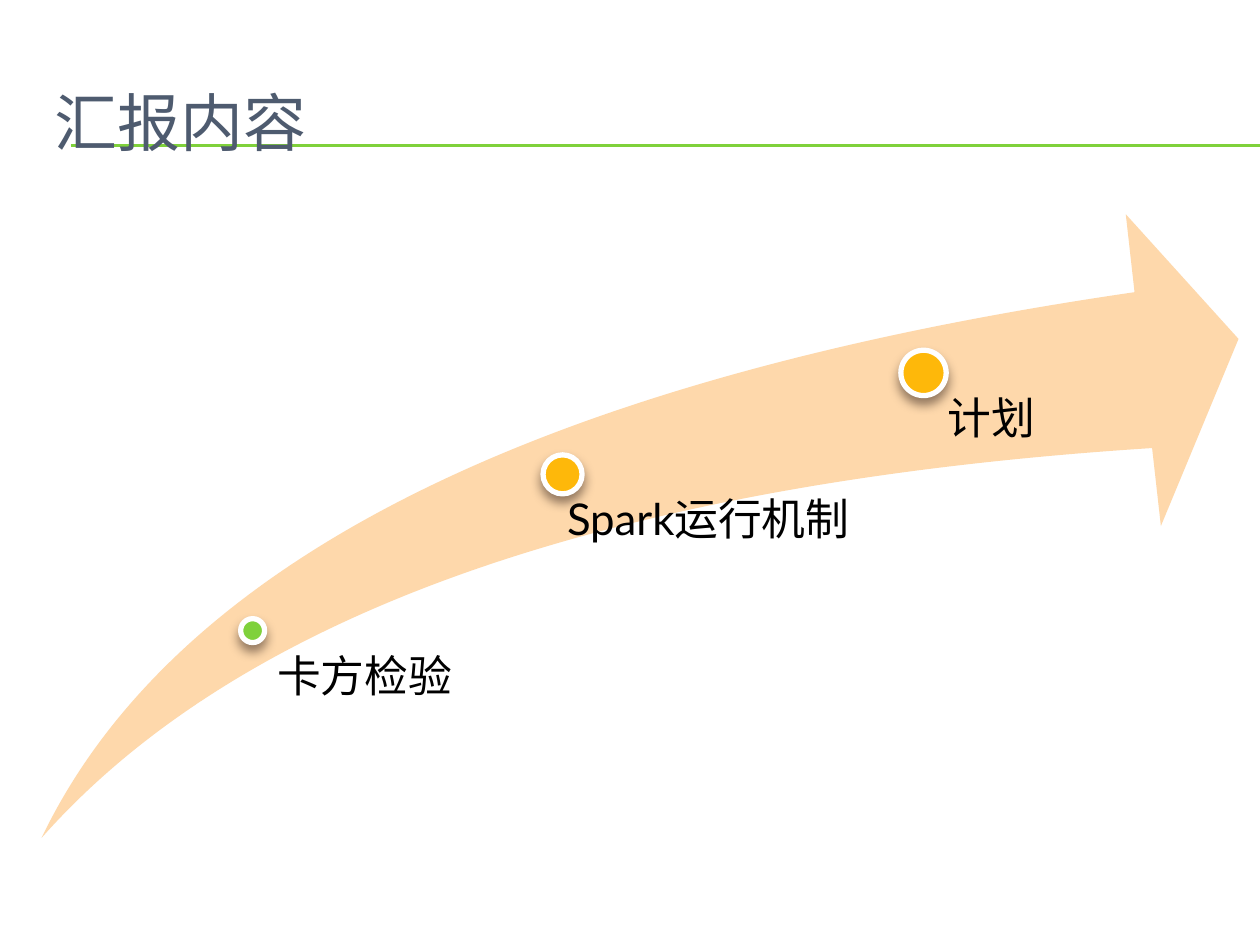
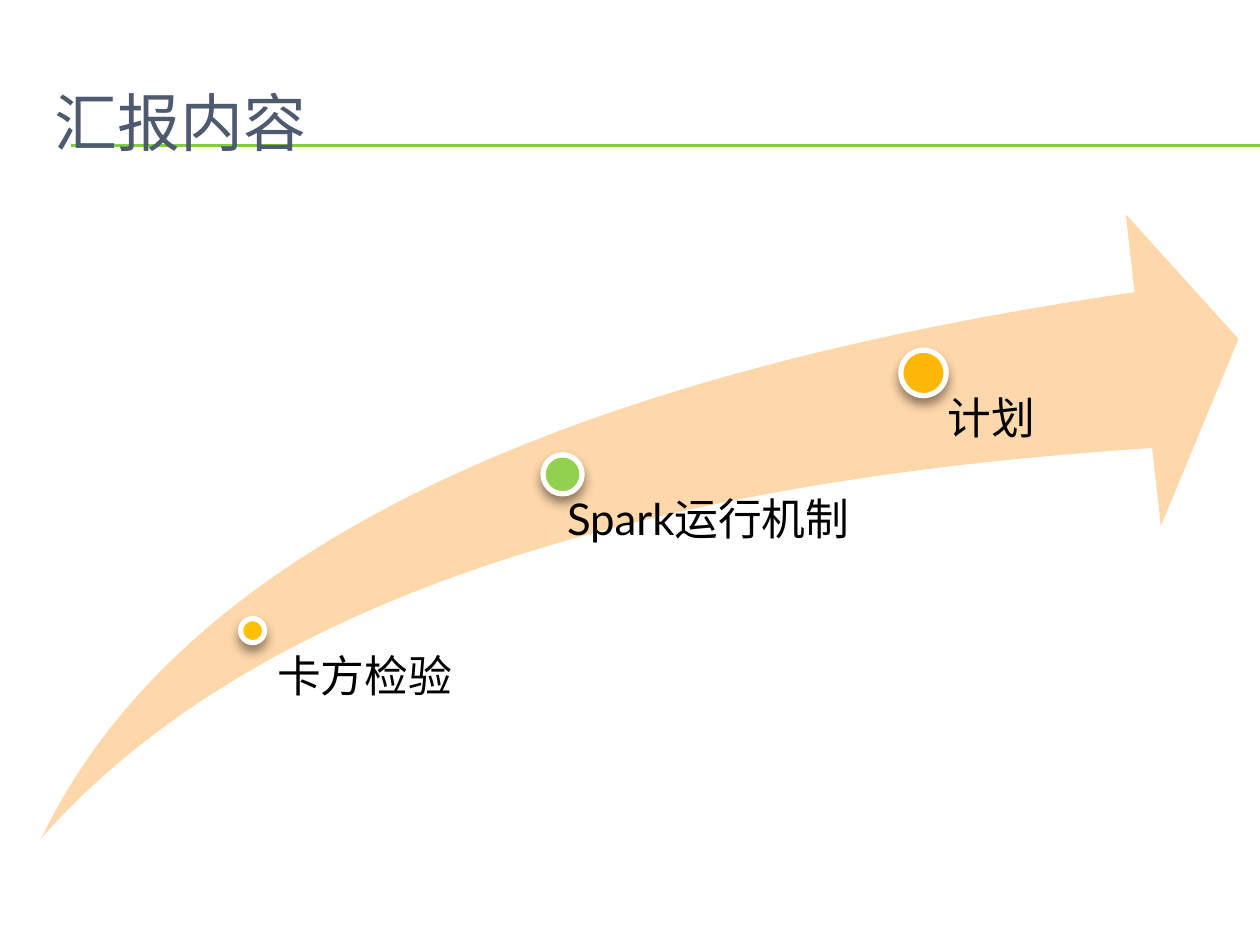
"""Build two agenda slides that mark progress along a rising arrow."""
from lxml import etree
from pptx import Presentation, util as u
from pptx.dml.color import RGBColor
from pptx.enum import shapes, text
from pptx.oxml import ns

GREEN, AMBER, WHITE = "7FD13B", "FEB80A", "FFFFFF"
FONT = "Lato"
TITLE = "汇报内容"
FRAME = {"left": 0.33, "top": 0.5, "width": 9.5, "height": 0.92}
INSETS = {f"margin_{side}": u.Inches(0.19) for side in ("left", "top", "right", "bottom")}
MILESTONES = [
    ("卡方检验", (2.01, 5.01, 2.38, 1.29), (1.91, 4.91, 0.19)),
    ("Spark运行机制", (4.31, 3.76, 2.69, 1.29), (4.31, 3.61, 0.31)),
    ("计划", (7.33, 2.96, 2.38, 1.29), (7.15, 2.78, 0.36)),
]
DOT_COLOURS = [(GREEN, AMBER, AMBER), ("FFC000", "92D050", AMBER)]


def colour(value):
    """Return the colour for a hex string."""
    return RGBColor.from_string(value)


def write(frame, words, size, hex_colour, **frame_format):
    """Put one formatted, left-aligned paragraph in a text frame."""
    for name, value in {"word_wrap": True, **frame_format}.items():
        setattr(frame, name, value)
    paragraph = frame.paragraphs[0]
    paragraph.alignment = text.PP_ALIGN.LEFT
    run = paragraph.add_run()
    run.text = words
    for name, value in {"name": FONT, "size": u.Pt(size)}.items():
        setattr(run.font, name, value)
    run.font.color.rgb = colour(hex_colour)
    return paragraph


presentation = Presentation()
presentation.slide_width, presentation.slide_height = u.Inches(10), u.Inches(7.5)
layout = presentation.slide_layouts.get_by_name("Title Only")
for name, value in FRAME.items():
    setattr(layout.placeholders[0], name, u.Inches(value))

slides = [presentation.slides.add_slide(layout) for _ in DOT_COLOURS]

for height in (1.15, 1.16):
    rule = slides[0].shapes.add_connector(
        shapes.MSO_CONNECTOR.STRAIGHT,
        u.Inches(0.56), u.Inches(height), u.Inches(10), u.Inches(height))
    rule.line.color.rgb = colour(GREEN)
    rule.line.width = u.Pt(0.75)
    etree.SubElement(rule.element.spPr, ns.qn("a:effectLst"))
    layout.shapes.element.append(rule.element)

for slide, dot_colours in zip(slides, DOT_COLOURS):
    write(slide.shapes.title.text_frame, TITLE, 36, "4E5B6F",
          vertical_anchor=text.MSO_ANCHOR.MIDDLE)
    diagram = slide.shapes.add_group_shape().shapes

    arrow = diagram.add_shape(
        shapes.MSO_SHAPE.SWOOSH_ARROW,
        u.Inches(0.33), u.Inches(1.7), u.Inches(9.5), u.Inches(4.95))
    arrow.shadow.inherit = False
    arrow.fill.solid()
    arrow.fill.fore_color.rgb = colour("FED8AB")
    arrow.line.fill.background()

    for (words, box, (left, top, size)), dot_colour in zip(MILESTONES, dot_colours):
        label = diagram.add_textbox(*map(u.Inches, box))
        paragraph = write(label.text_frame, words, 25, "000000", **INSETS)
        paragraph.line_spacing = 0.9

        dot = diagram.add_shape(
            shapes.MSO_SHAPE.OVAL, *map(u.Inches, (left, top, size, size)))
        dot.fill.solid()
        dot.fill.fore_color.rgb = colour(dot_colour)
        dot.line.color.rgb = colour(WHITE)
        dot.line.width = u.Pt(3)
        dot.shadow.inherit = False
        effects = dot.element.spPr.find(ns.qn("a:effectLst"))
        shadow = etree.SubElement(
            effects, ns.qn("a:outerShdw"), blurRad=str(u.Pt(6)), dist=str(u.Pt(4)),
            dir="5400000", rotWithShape="0")
        tint = etree.SubElement(shadow, ns.qn("a:srgbClr"), val="4E3B30")
        etree.SubElement(tint, ns.qn("a:alpha"), val="60000")

presentation.save("out.pptx")
